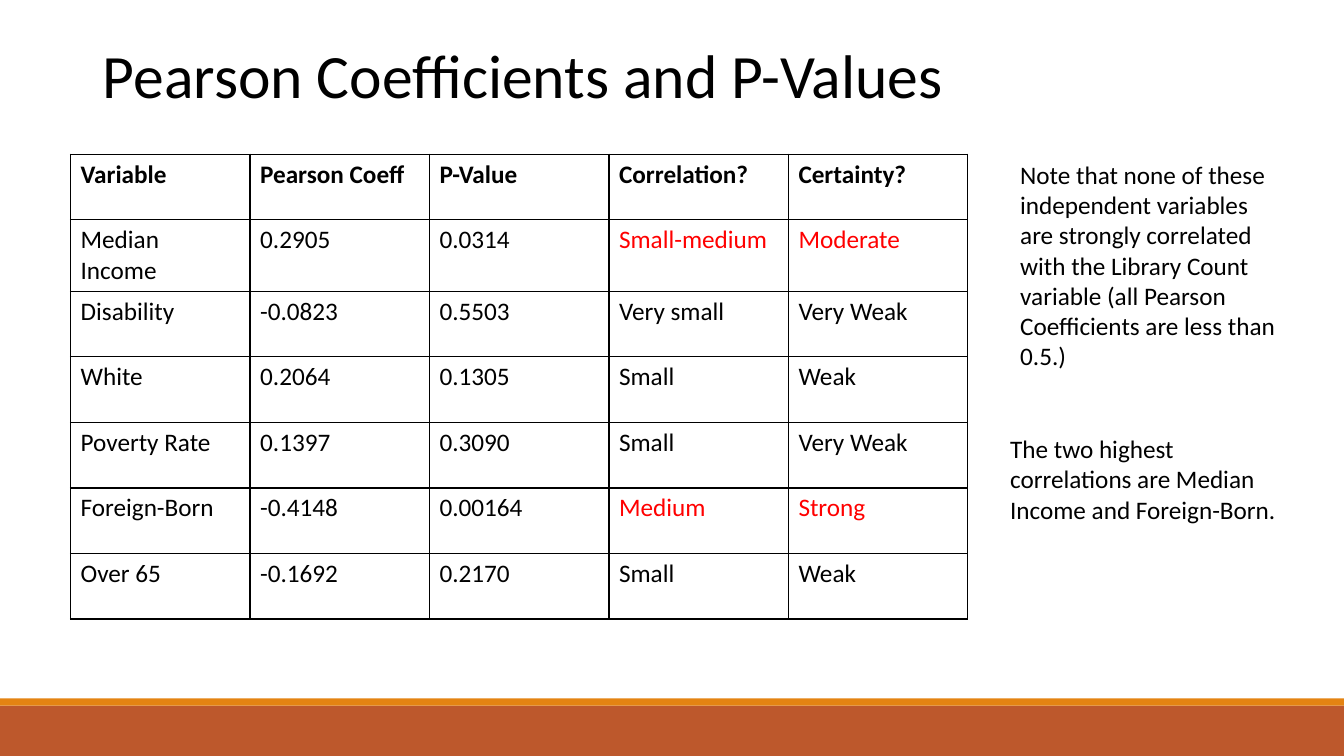
import pptx
import pptx.dml.color
import pptx.enum.shapes
import pptx.enum.text
import pptx.oxml
import pptx.oxml.ns
import pptx.util
from dataclasses import dataclass

Inches = pptx.util.Inches

TITLE = "Pearson Coefficients and P-Values"
TITLE_BOX = (0.92, 0.4, 11.5, 1.45)
ROWS = [
    ("Variable", "Pearson Coeff", "P-Value", "Correlation?", "Certainty?"),
    ("Median Income", "0.2905", "0.0314", "Small-medium", "Moderate"),
    ("Disability", "-0.0823", "0.5503", "Very small", "Very Weak"),
    ("White", "0.2064", "0.1305", "Small", "Weak"),
    ("Poverty Rate", "0.1397", "0.3090", "Small", "Very Weak"),
    ("Foreign-Born", "-0.4148", "0.00164", "Medium", "Strong"),
    ("Over 65", "-0.1692", "0.2170", "Small", "Weak"),
]
HIGHLIGHTED_VARIABLES = {"Median Income", "Foreign-Born"}
FIRST_VERDICT_COLUMN = 3
TABLE_LEFT, TABLE_TOP = 0.7, 1.53
COLUMN_WIDTH, ROW_HEIGHT = 1.78, 0.65
NOTES = [
    ((10.02, 1.53, 2.78, 2.22),
     "Note that none of these independent variables are strongly correlated "
     "with the Library Count variable (all Pearson Coefficients are less than 0.5.)"),
    ((9.92, 4.25, 3.05, 1.01),
     "The two highest correlations are Median Income and Foreign-Born."),
]


@dataclass(frozen=True)
class Theme:
    font: str = "Calibri"
    text: str = "000000"
    highlight: str = "FF0000"
    bar: str = "BD582C"
    stripe: str = "E48312"
    title_size: int = 44
    body_size: int = 18
    border_width: int = 1


THEME = Theme()
BARS = [((0, 7, 13.33, 0.5), THEME.bar), ((0, 6.93, 13.33, 0.07), THEME.stripe)]


def rgb(color):
    return pptx.dml.color.RGBColor.from_string(color)


def write(tf, text, size=THEME.body_size, color=THEME.text, bold=False):
    tf.word_wrap = True
    p = tf.paragraphs[0]
    r = p.add_run()
    r.text = text
    formats = {"name": THEME.font, "size": pptx.util.Pt(size), "bold": bold}
    for name, value in formats.items():
        setattr(r.font, name, value)
    r.font.color.rgb = rgb(color)
    return p


def add_borders(cell):
    tc_pr = cell._tc.get_or_add_tcPr()
    width = pptx.util.Pt(THEME.border_width)
    for side in ("lnL", "lnR", "lnT", "lnB"):
        tc_pr.append(pptx.oxml.parse_xml(
            f'<a:{side} {pptx.oxml.ns.nsdecls("a")} w="{width}"><a:solidFill>'
            f'<a:srgbClr val="{THEME.text}"/></a:solidFill></a:{side}>'))


def add_bars(s):
    for box, color in BARS:
        sp = s.shapes.add_shape(
            pptx.enum.shapes.MSO_SHAPE.RECTANGLE, *map(Inches, box))
        sp.shadow.inherit = False
        sp.fill.solid()
        sp.fill.fore_color.rgb = rgb(color)
        sp.line.fill.background()


def add_title(s):
    sp = s.shapes.title
    for name, value in zip(("left", "top", "width", "height"), TITLE_BOX):
        setattr(sp, name, Inches(value))
    tf = sp.text_frame
    tf.vertical_anchor = pptx.enum.text.MSO_ANCHOR.TOP
    tf.auto_size = pptx.enum.text.MSO_AUTO_SIZE.NONE
    p = write(tf, TITLE, THEME.title_size)
    p.alignment = pptx.enum.text.PP_ALIGN.LEFT
    p.line_spacing = 0.9


def add_results_table(s):
    n_rows, n_cols = len(ROWS), len(ROWS[0])
    table = s.shapes.add_table(
        n_rows, n_cols, Inches(TABLE_LEFT), Inches(TABLE_TOP),
        Inches(n_cols * COLUMN_WIDTH), Inches(n_rows * ROW_HEIGHT)).table
    table.first_row = table.horz_banding = False
    for column in table.columns:
        column.width = Inches(COLUMN_WIDTH)
    for i, values in enumerate(ROWS):
        table.rows[i].height = Inches(ROW_HEIGHT)
        for j, value in enumerate(values):
            cell = table.cell(i, j)
            add_borders(cell)
            cell.fill.background()
            highlighted = (values[0] in HIGHLIGHTED_VARIABLES
                           and j >= FIRST_VERDICT_COLUMN)
            write(cell.text_frame, value, bold=i == 0,
                  color=THEME.highlight if highlighted else THEME.text)


def add_notes(s):
    for box, text in NOTES:
        tf = s.shapes.add_textbox(*map(Inches, box)).text_frame
        write(tf, text)
        tf.auto_size = pptx.enum.text.MSO_AUTO_SIZE.SHAPE_TO_FIT_TEXT


def main():
    prs = pptx.Presentation()
    prs.slide_width, prs.slide_height = Inches(13.33), Inches(7.5)
    s = prs.slides.add_slide(prs.slide_layouts.get_by_name("Title Only"))
    add_bars(s)
    add_title(s)
    add_results_table(s)
    add_notes(s)
    prs.save("out.pptx")


if __name__ == "__main__":
    main()
